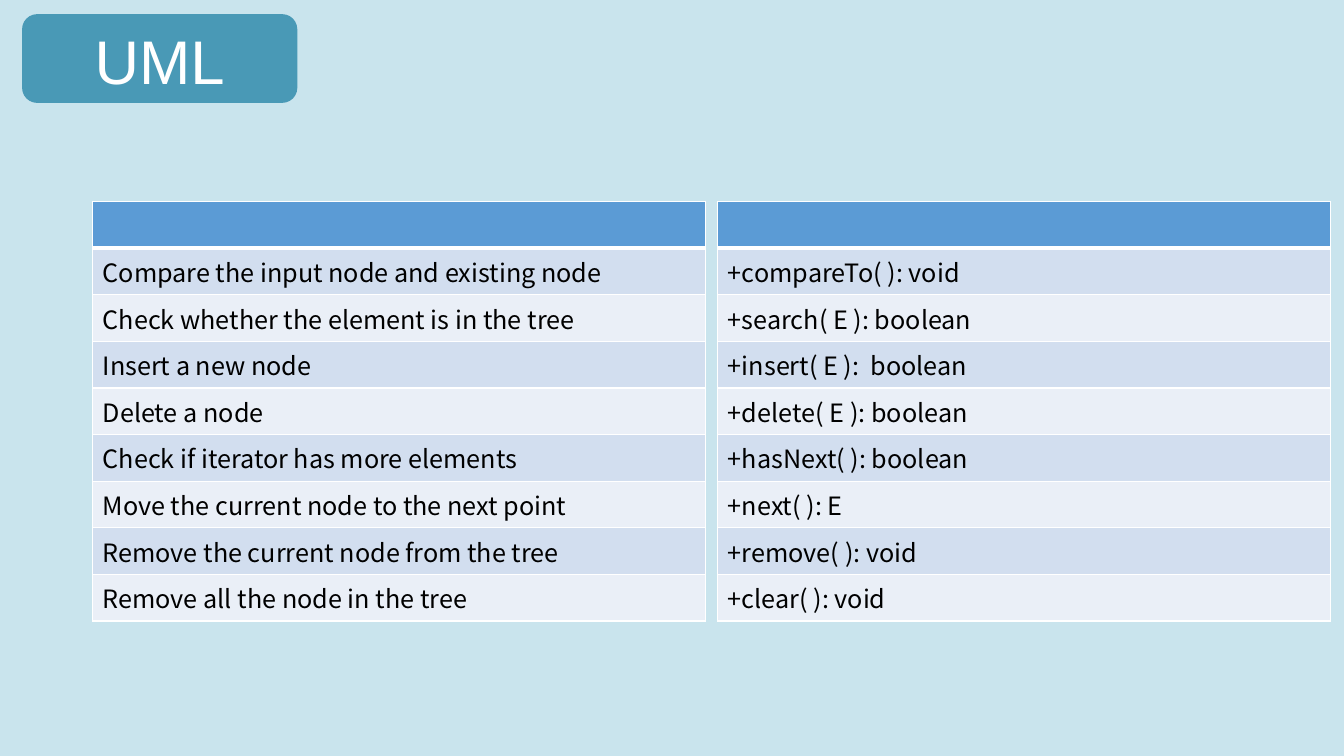
"""Build the UML slide: a title badge and two tables describing tree operations."""
from dataclasses import dataclass

from lxml import etree
from pptx import Presentation
from pptx.dml.color import RGBColor
from pptx.enum.shapes import MSO_SHAPE
from pptx.enum.text import MSO_ANCHOR, PP_ALIGN
from pptx.oxml.ns import qn
from pptx.util import Pt

ROUNDED = MSO_SHAPE.ROUNDED_RECTANGLE
MIDDLE = MSO_ANCHOR.MIDDLE
CENTER = PP_ALIGN.CENTER

BODY_FONT = "Noto Sans CJK KR"
HEADER_FILL = "5B9BD5"
BAND_FILLS = ("D2DEEF", "EAEFF7")
WHITE = "FFFFFF"
TABLE_TOP, TABLE_WIDTH, ROW_HEIGHT = 144, 437.8, 33.3


@dataclass
class Listing:
    """A one-column table with an empty header."""
    left: float
    lines: tuple[str, ...]


LISTINGS = (
    Listing(66.2, (
        "Compare the input node and existing node",
        "Check whether the element is in the tree",
        "Insert a new node",
        "Delete a node",
        "Check if iterator has more elements",
        "Move the current node to the next point",
        "Remove the current node from the tree",
        "Remove all the node in the tree",
    )),
    Listing(512.8, (
        "+compareTo( ): void",
        "+search( E ): boolean",
        "+insert( E ):  boolean",
        "+delete( E ): boolean",
        "+hasNext( ): boolean",
        "+next( ): E",
        "+remove( ): void",
        "+clear( ): void",
    )),
)


def paint(fill, color: str) -> None:
    """Give a fill one solid colour."""
    fill.solid()
    fill.fore_color.rgb = RGBColor.from_string(color)


def style(para, font: str, size: float, color: str) -> None:
    """Set the font of a whole paragraph."""
    para.font.name = font
    para.font.size = Pt(size)
    para.font.color.rgb = RGBColor.from_string(color)


def add_borders(cell, top: float, bottom: float) -> None:
    """Draw white borders around a cell."""
    properties = cell._tc.get_or_add_tcPr()
    widths = {"a:lnL": 1, "a:lnR": 1, "a:lnT": top, "a:lnB": bottom}
    for position, (tag, width) in enumerate(widths.items()):
        line = etree.Element(qn(tag), w=str(Pt(width)))
        solid = etree.SubElement(line, qn("a:solidFill"))
        etree.SubElement(solid, qn("a:srgbClr"), val=WHITE)
        properties.insert(position, line)


def add_listing(page, listing: Listing) -> None:
    """Add a banded table below a plain blue header."""
    texts = ("", *listing.lines)
    frame = page.shapes.add_table(
        len(texts), 1, Pt(listing.left), Pt(TABLE_TOP),
        Pt(TABLE_WIDTH), Pt(ROW_HEIGHT * len(texts)))
    for index, text in enumerate(texts):
        frame.table.rows[index].height = Pt(ROW_HEIGHT)
        cell = frame.table.cell(index, 0)
        cell.text = text
        style(cell.text_frame.paragraphs[0], BODY_FONT, 18, "000000")
        paint(cell.fill, BAND_FILLS[(index - 1) % 2] if index else HEADER_FILL)
        add_borders(cell, 3 if index == 1 else 1, 1 if index else 3)


def add_title(page, text: str) -> None:
    """Add the rounded title badge."""
    box = page.shapes.add_shape(ROUNDED, Pt(15.8), Pt(10.1), Pt(196.6), Pt(63.4))
    box.adjustments[0] = 0.17
    box.shadow.inherit = False
    paint(box.fill, "4999B6")
    box.line.fill.background()
    frame = box.text_frame
    frame.vertical_anchor = MIDDLE
    frame.margin_top, frame.margin_bottom = Pt(8.6), Pt(0)
    para = frame.paragraphs[0]
    para.text = text
    para.alignment = CENTER
    para.line_spacing = 0.9
    style(para, "Arial", 44, WHITE)


def main() -> None:
    """Create the deck and save it."""
    deck = Presentation()
    deck.slide_width, deck.slide_height = Pt(960), Pt(540)
    page = deck.slides.add_slide(deck.slide_layouts[6])
    paint(page.background.fill, "C9E4ED")
    add_title(page, "UML")
    for listing in LISTINGS:
        add_listing(page, listing)
    deck.save("out.pptx")


if __name__ == "__main__":
    main()
